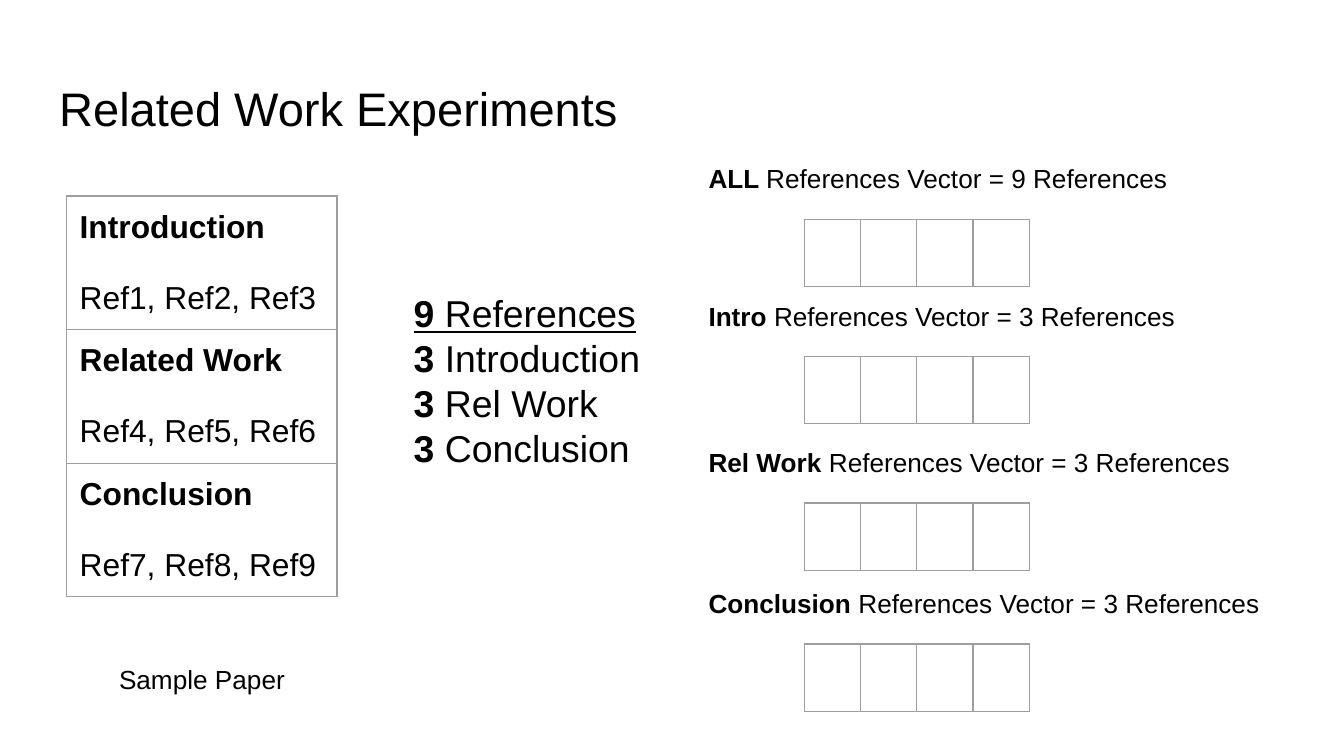
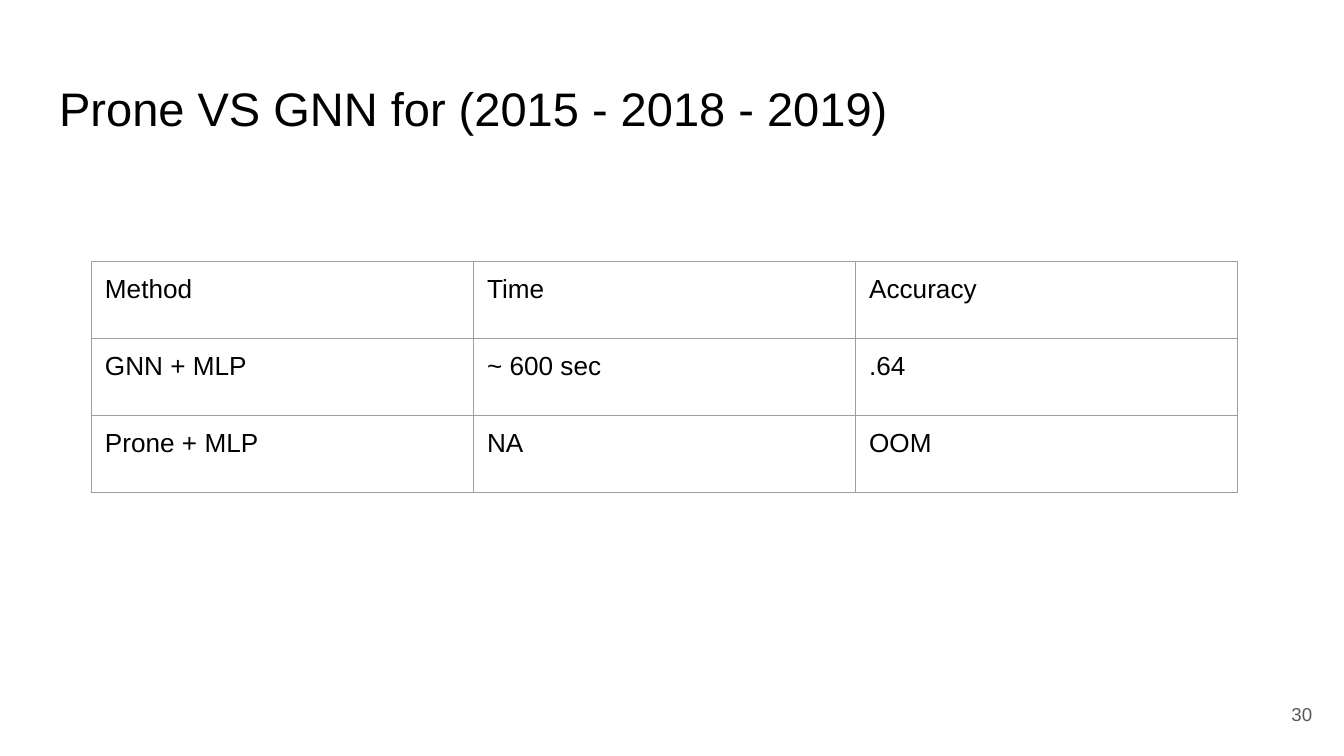
"""Build two slides on the related work experiments."""
from typing import NamedTuple

from lxml.etree import SubElement
from pptx import Presentation
from pptx.dml.color import RGBColor as RGB
from pptx.enum.text import MSO_ANCHOR as Anchor, MSO_AUTO_SIZE as Fit, PP_ALIGN as Align
from pptx.oxml.ns import qn
from pptx.util import Pt

FONT = "Arial"
INSET = 7.2
COLORS = {"text": "000000", "muted": "595959", "rule": "9E9E9E"}


class Run(NamedTuple):
    text: str
    bold: bool = False
    line: bool = False


class Para(NamedTuple):
    runs: list[Run]
    gap: float = 0


class Box(NamedTuple):
    x: float
    y: float
    w: float
    h: float


class Part(NamedTuple):
    name: str
    refs: str


class Vector(NamedTuple):
    name: str
    count: int
    y: float


PARTS = [
    Part("Introduction", "Ref1, Ref2, Ref3"),
    Part("Related Work", "Ref4, Ref5, Ref6"),
    Part("Conclusion", "Ref7, Ref8, Ref9"),
]
COUNTS = [("9", "References"), ("3", "Introduction"), ("3", "Rel Work"), ("3", "Conclusion")]
VECTORS = [
    Vector("ALL", 9, 80),
    Vector("Intro", 3, 153.5),
    Vector("Rel Work", 3, 232),
    Vector("Conclusion", 3, 307.5),
]
RESULTS = [
    ["Method", "Time", "Accuracy"],
    ["GNN + MLP", "~ 600 sec", ".64"],
    ["Prone + MLP", "NA", "OOM"],
]


def plain(text: str) -> list[Para]:
    return [Para([Run(text)])]


def write(frame, paras: list[Para], size: float, color: str = "text", align=Align.LEFT) -> None:
    for i, item in enumerate(paras):
        para = frame.add_paragraph() if i else frame.paragraphs[0]
        para.alignment = align
        if item.gap:
            para.space_before = Pt(item.gap)
        font = para.font
        font.name, font.size = FONT, Pt(size)
        font.color.rgb = RGB.from_string(COLORS[color])
        for part in item.runs:
            run = para.add_run()
            run.text = part.text
            run.font.bold = part.bold
            if part.line:
                run.font.underline = True


def pad(item) -> None:
    item.margin_left = item.margin_right = Pt(INSET)
    item.margin_top = item.margin_bottom = Pt(INSET)


def label(slide, box: Box, paras: list[Para], size: float, color: str = "text",
          align=Align.LEFT, anchor=Anchor.TOP) -> None:
    frame = slide.shapes.add_textbox(*map(Pt, box)).text_frame
    frame.word_wrap = True
    frame.vertical_anchor = anchor
    pad(frame)
    write(frame, paras, size, color, align)


def edge(cell) -> None:
    props = cell._tc.get_or_add_tcPr()
    for i, side in enumerate(("lnL", "lnR", "lnT", "lnB")):
        line = SubElement(props, qn(f"a:{side}"), w=str(Pt(0.75)))
        fill = SubElement(line, qn("a:solidFill"))
        SubElement(fill, qn("a:srgbClr"), val=COLORS["rule"])
        props.insert(i, line)


def grid(slide, x: float, y: float, wide: float, high: float,
         cells: list[list[list[Para]]], size: float = 14) -> None:
    rows, cols = len(cells), len(cells[0])
    table = slide.shapes.add_table(
        rows, cols, Pt(x), Pt(y), Pt(wide * cols), Pt(high * rows)).table
    table.first_row = table.horz_banding = False
    for r, row in enumerate(cells):
        for c, paras in enumerate(row):
            cell = table.cell(r, c)
            cell.fill.background()
            pad(cell)
            edge(cell)
            write(cell.text_frame, paras, size)


def start(deck, text: str):
    slide = deck.slides.add_slide(deck.slide_layouts[5])
    title = slide.shapes.title
    title.left, title.top, title.width, title.height = map(Pt, (24.5, 35.5, 671, 45))
    frame = title.text_frame
    frame.auto_size = Fit.NONE
    frame.vertical_anchor = Anchor.TOP
    pad(frame)
    write(frame, plain(text), 25.2)
    return slide


def refs(deck) -> None:
    slide = start(deck, "Related Work Experiments")
    cells = [[[Para([Run(p.name, True)]), Para([Run(p.refs)], 19)]] for p in PARTS]
    grid(slide, 35.5, 105, 145, 64, cells, 17)
    sums = [Para([Run(f"{num} ", True, i == 0), Run(name, False, i == 0)])
            for i, (num, name) in enumerate(COUNTS)]
    label(slide, Box(214.5, 148.5, 145.5, 140.5), sums, 20)
    label(slide, Box(35.5, 348, 145.5, 28), plain("Sample Paper"), 14, align=Align.CENTER)
    for vec in VECTORS:
        grid(slide, 431, vec.y + 37.5, 30.1, 19.5, [[[]] * 4])
        text = f"References Vector = {vec.count} References"
        label(slide, Box(372.5, vec.y, 360, 45.5),
              [Para([Run(f"{vec.name} ", True), Run(text)])], 14)


def compare(deck) -> None:
    slide = start(deck, "Prone VS GNN for (2015 - 2018 - 2019)")
    label(slide, Box(667, 367, 43, 31), plain("30"), 10, "muted", Align.RIGHT, Anchor.MIDDLE)
    grid(slide, 49, 140, 204.7, 41.25, [[plain(text) for text in row] for row in RESULTS])


def main() -> None:
    deck = Presentation()
    deck.slide_width, deck.slide_height = Pt(720), Pt(405)
    refs(deck)
    compare(deck)
    deck.save("out.pptx")


if __name__ == "__main__":
    main()
